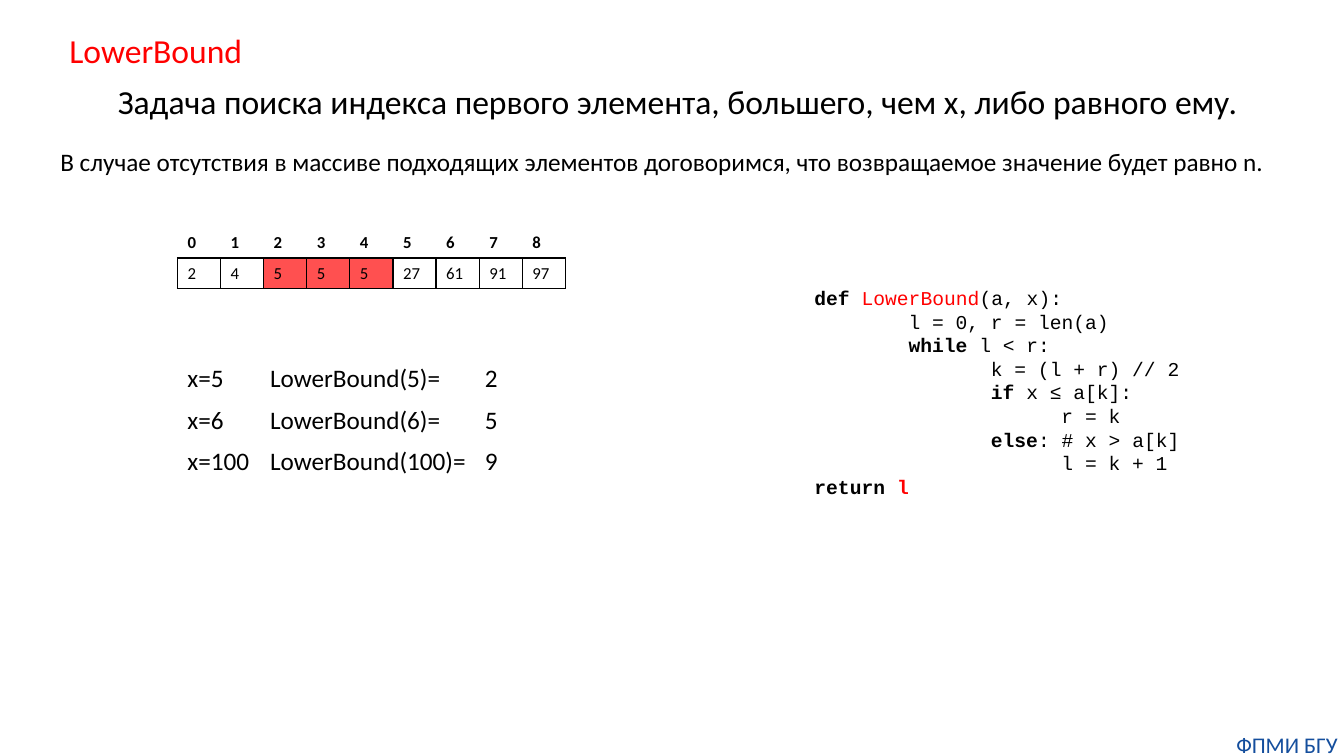
from pptx import Presentation
from pptx.dml.color import RGBColor
from pptx.enum import text
from pptx.oxml import parse_xml
from pptx.oxml.ns import nsdecls
from pptx.util import Inches, Pt

BLACK, RED, PINK, BLUE = "000000", "FF0000", "FF5050", "144E9D"
CHAR = 0.6 * 14 / 72


def color(code):
    return RGBColor.from_string(code)


class Board:
    font, mono = "Calibri", "Courier New"

    def __init__(self, slide):
        self.slide = slide

    def style(self, run, size, tint=BLACK, bold=False, font=None):
        run.font.name = font or self.font
        run.font.size = Pt(size)
        run.font.bold = bold
        run.font.color.rgb = color(tint)

    def box(self, x, y, w, h):
        frame = self.slide.shapes.add_textbox(
            Inches(x), Inches(y), Inches(w), Inches(h)).text_frame
        frame.word_wrap = True
        frame.auto_size = text.MSO_AUTO_SIZE.SHAPE_TO_FIT_TEXT
        return frame

    def indent(self, para, left):
        props = para._p.get_or_add_pPr()
        props.set("marL", str(Inches(left)))
        props.set("indent", "0")

    def label(self, words, x, y, w, h=0.4, size=18, tint=BLACK, left=0):
        frame = self.box(x, y, w, h)
        frame.text = words
        para = frame.paragraphs[0]
        self.indent(para, left)
        self.style(para.runs[0], size, tint)
        return frame

    def footer(self, words, x, y, w, h):
        frame = self.label(words, x, y, w, h, 16, BLUE)
        frame.margin_left = frame.margin_right = 0
        frame.margin_top = frame.margin_bottom = 0
        frame.paragraphs[0].alignment = text.PP_ALIGN.CENTER

    def code(self, lines, x, y, w, h):
        frame = self.box(x, y, w, h)
        for i, (depth, *parts) in enumerate(lines):
            para = frame.add_paragraph() if i else frame.paragraphs[0]
            self.indent(para, depth * CHAR)
            for words, bold, tint in parts:
                run = para.add_run()
                run.text = words
                self.style(run, 14, tint, bold, self.mono)

    def border(self, cell, sides):
        props = cell._tc.get_or_add_tcPr()
        for side in sides:
            props.append(parse_xml(
                f'<a:ln{side} {nsdecls("a")} w="12700"><a:solidFill>'
                f'<a:srgbClr val="{BLACK}"/></a:solidFill></a:ln{side}>'))

    def table(self, rows, marked, x, y, w, h):
        grid = self.slide.shapes.add_table(
            len(rows), len(rows[0]), Inches(x), Inches(y),
            Inches(w), Inches(h)).table
        grid.first_row = grid.horz_banding = False
        for r, row in enumerate(rows):
            for c, value in enumerate(row):
                cell = grid.cell(r, c)
                cell.text = str(value)
                self.style(cell.text_frame.paragraphs[0].runs[0], 12, bold=r == 0)
                self.border(cell, "LRTB" if r else "B")
                if r and c in marked:
                    cell.fill.solid()
                    cell.fill.fore_color.rgb = color(PINK)
                else:
                    cell.fill.background()


def plain(words):
    return words, False, BLACK


def strong(words):
    return words, True, BLACK


def main():
    deck = Presentation()
    deck.slide_width, deck.slide_height = Inches(13.33), Inches(7.5)
    board = Board(deck.slides.add_slide(deck.slide_layouts[6]))

    board.label("Задача поиска индекса первого элемента, большего, чем x, либо равного ему.",
                0.57, 0.75, 11.96, 0.5, 24, left=0.5)
    board.label("LowerBound", 0.59, 0.25, 1.97, 0.5, 24, RED)

    for i, (x, found) in enumerate([(5, 2), (6, 5), (100, 9)]):
        y = 3.55 + 0.41 * i
        board.label(f"x={x}", 1.76, y, 0.85)
        board.label(f"LowerBound({x})=", 2.58, y, 2.18)
        board.label(str(found), 4.71, y, 0.33)

    board.code([
        (0, strong("def "), ("LowerBound", False, RED), plain("(a, x):")),
        (8, plain("l = 0, r = len(a)")),
        (8, strong("while"), plain(" l < r:")),
        (15, plain("k = (l + r) // 2")),
        (15, strong("if"), plain(" x ≤ a[k]:")),
        (21, plain("r = k")),
        (15, strong("else"), plain(": # x > a[k]")),
        (21, plain("l = k + 1")),
        (0, strong("return "), ("l", True, RED)),
    ], 7.98, 2.79, 4.87, 2.22)

    board.footer("ФПМИ БГУ", 12.2, 7.25, 1.13, 0.27)
    board.label("В случае отсутствия в массиве подходящих элементов договоримся, "
                "что возвращаемое значение будет равно n.",
                0, 1.4, 12.73, left=0.5)

    values = [2, 4, 5, 5, 5, 27, 61, 91, 97]
    board.table([range(len(values)), values], (2, 3, 4), 1.76, 2.26, 3.85, 0.6)

    deck.save("out.pptx")


if __name__ == "__main__":
    main()
